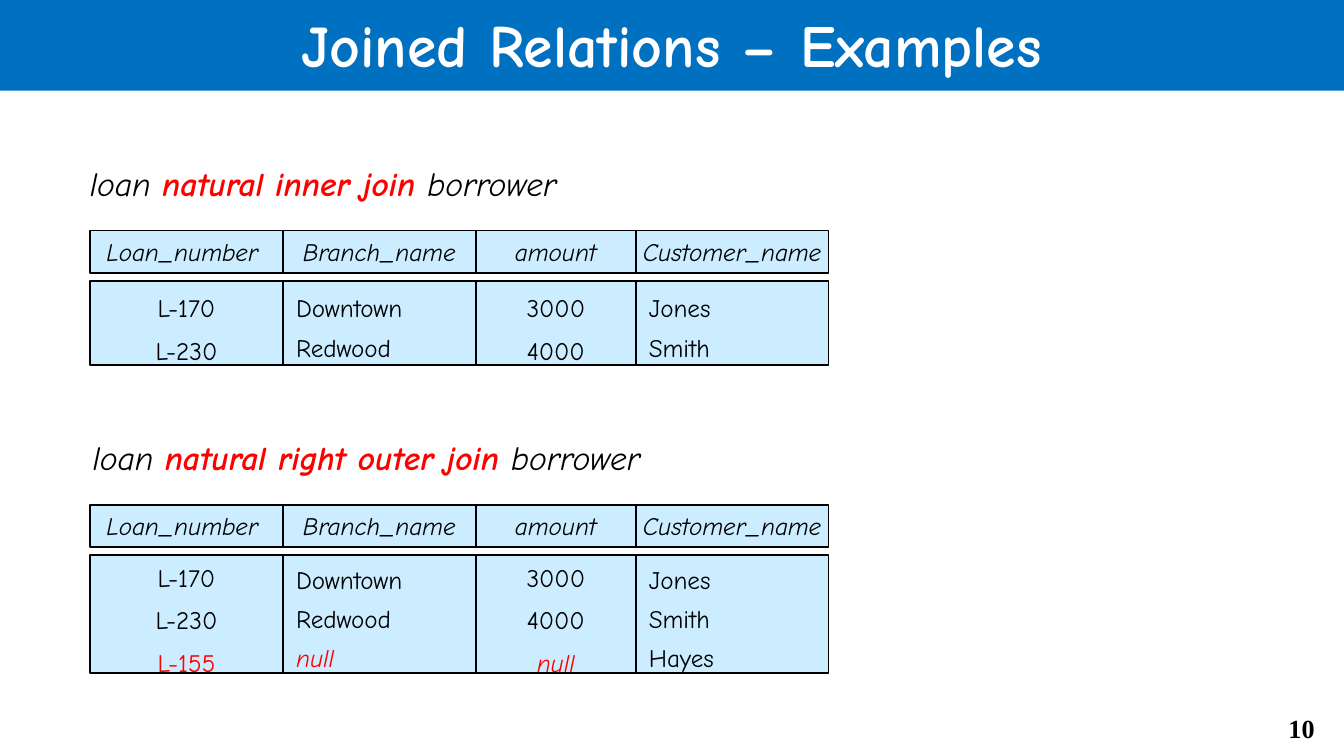
import pptx
import pptx.dml.color
import pptx.enum.shapes
import pptx.enum.text
import pptx.util

PX = 4572  # EMU per px, 200 px to the inch
COLORS = {"blue": "0070C0", "pale": "CCECFF", "red": "FF0000",
          "black": "000000", "white": "FFFFFF"}
FONT = "Comic Neue"
ALIGN = pptx.enum.text.PP_ALIGN
RECTANGLE = pptx.enum.shapes.MSO_SHAPE.RECTANGLE
MIDDLE = pptx.enum.text.MSO_ANCHOR.MIDDLE

# Heading, column width, alignment and line spacing of the table bodies
COLUMNS = [
    ("Loan_number ", 287, ALIGN.CENTER, 1.4),
    ("Branch_name", 287, ALIGN.LEFT, 1.3),
    ("amount", 238, ALIGN.CENTER, 1.4),
    ("Customer_name", 287, ALIGN.LEFT, 1.3),
]
MATCHED_ROWS = [
    ("L-170", "Downtown", "3000", "Jones"),
    ("L-230", "Redwood", "4000", "Smith"),
]
UNMATCHED_ROW = ("L-155", "null", "null", "Hayes")
RED_VALUES = {"L-155", "null"}


def color(name):
    return pptx.dml.color.RGBColor.from_string(COLORS[name])


def emu(*lengths):
    return [pptx.util.Emu(length * PX) for length in lengths]


def set_font(font, size, name="black", bold=False, italic=False, face=FONT):
    font.name = face
    font.size = pptx.util.Pt(size)
    font.bold = bold
    font.italic = italic
    font.color.rgb = color(name)


def add_box(shapes, box, fill, outlined=False):
    shape = shapes.add_shape(RECTANGLE, *emu(*box))
    shape.shadow.inherit = False
    shape.fill.solid()
    shape.fill.fore_color.rgb = color(fill)
    if outlined:
        shape.line.color.rgb = color("black")
        shape.line.width = pptx.util.Pt(1)
    else:
        shape.line.fill.background()
    shape.text_frame.vertical_anchor = MIDDLE
    shape.text_frame.word_wrap = not outlined
    return shape.text_frame


def add_title(slide, box, text):
    paragraph = add_box(slide.shapes, box, "blue").paragraphs[0]
    paragraph.text = text
    paragraph.alignment = ALIGN.CENTER
    set_font(paragraph.font, 32, "white", bold=True)


def add_expression(slide, box, join):
    frame = slide.shapes.add_textbox(*emu(*box)).text_frame
    frame.word_wrap = True
    for text, name in (("loan ", "black"), (join + " ", "red"), ("borrower", "black")):
        run = frame.paragraphs[0].add_run()
        run.text = text
        set_font(run.font, 18, name, bold=name == "red", italic=True)


def add_relation(slide, left, top, body_height, rows):
    group = slide.shapes.add_group_shape()
    for column, (heading, width, alignment, spacing) in enumerate(COLUMNS):
        # Heading cell
        frame = add_box(group.shapes, (left, top, width, 63), "pale", True)
        paragraph = frame.paragraphs[0]
        paragraph.text = heading
        paragraph.alignment = ALIGN.CENTER
        set_font(paragraph.font, 13.5, italic=True)

        # Body cell, one paragraph for each row
        box = (left, top + 75, width, body_height)
        frame = add_box(group.shapes, box, "pale", True)
        frame.text = "\n".join(row[column] for row in rows)
        for paragraph in frame.paragraphs:
            paragraph.alignment = alignment
            paragraph.line_spacing = spacing
            name = "red" if paragraph.text in RED_VALUES else "black"
            set_font(paragraph.font, 13.5, name, italic=paragraph.text == "null")
        left += width


def add_page_number(slide, box, text):
    frame = slide.shapes.add_textbox(*emu(*box)).text_frame
    frame.word_wrap = True
    paragraph = frame.paragraphs[0]
    paragraph.text = text
    paragraph.alignment = ALIGN.RIGHT
    set_font(paragraph.font, 14, bold=True, face="Times New Roman")


def main():
    presentation = pptx.Presentation()
    presentation.slide_width, presentation.slide_height = emu(2000, 1125)
    slide = presentation.slides.add_slide(presentation.slide_layouts[6])

    add_page_number(slide, (1850, 1051, 126, 68), "10")
    add_title(slide, (0, -5, 2000, 140), "Joined Relations – Examples")

    # Inner join
    add_expression(slide, (114, 233, 1116, 80), "natural inner join")
    add_relation(slide, 134, 343, 125, MATCHED_ROWS)

    # Right outer join
    add_expression(slide, (118, 640, 1116, 80), "natural right outer join")
    add_relation(slide, 134, 751, 175, MATCHED_ROWS + [UNMATCHED_ROW])

    presentation.save("out.pptx")


if __name__ == "__main__":
    main()
